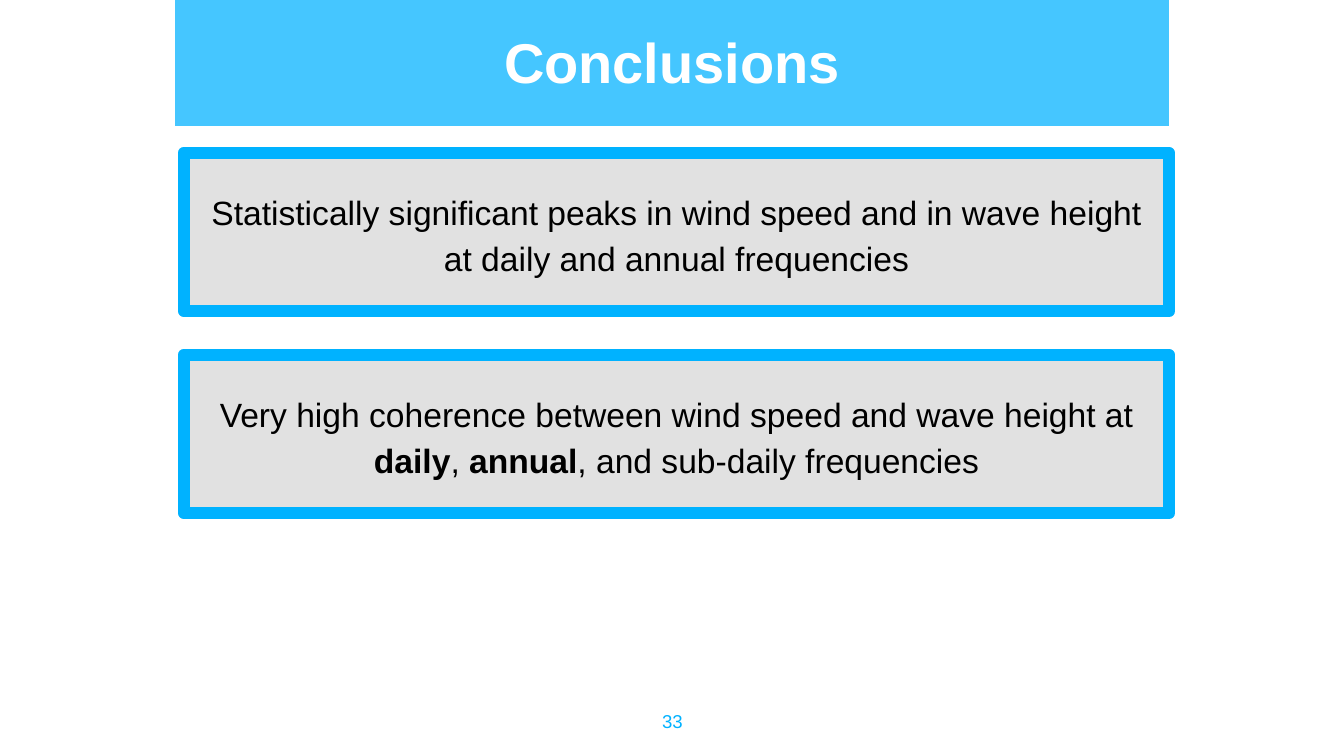
from lxml.etree import SubElement
from pptx import Presentation
from pptx.dml.color import RGBColor
from pptx.enum.shapes import MSO_SHAPE
from pptx.enum.text import MSO_ANCHOR, PP_ALIGN
from pptx.oxml.ns import qn
from pptx.util import Pt

COLORS = {"sky": "00B2FF", "gray": "D8D8D8", "white": "FFFFFF", "black": "000000"}
SCALE = 914400 / 100.8  # EMU per px
WIDE, HIGH = 1344, 756


def px(n):
    return round(n * SCALE)


def tint(name):
    return RGBColor.from_string(COLORS[name])


class Deck:
    font = "Arial"
    pad = 13

    def __init__(self):
        self.prs = Presentation()
        self.prs.slide_width, self.prs.slide_height = px(WIDE), px(HIGH)
        self.slide = self.prs.slides.add_slide(self.prs.slide_layouts[6])

    def rect(self, area, fill, alpha, line=None, width=0):
        """Draw a see-through rectangle; alpha is in percent."""
        box = self.slide.shapes.add_shape(MSO_SHAPE.RECTANGLE, *map(px, area))
        box.shadow.inherit = False
        box.fill.solid()
        box.fill.fore_color.rgb = tint(fill)
        color = box.element.spPr.find(qn("a:solidFill"))[0]
        SubElement(color, qn("a:alpha"), val=str(alpha * 1000))
        if line:
            box.line.color.rgb = tint(line)
            box.line.width = Pt(width)
        else:
            box.line.fill.background()
        return box

    def prose(self, box, runs, size, color, bold=False, anchor=MSO_ANCHOR.TOP, space=1.0):
        """Fill a shape with one centred paragraph of (text, bold) runs."""
        frame = box.text_frame
        frame.word_wrap = True
        frame.vertical_anchor = anchor
        frame.margin_left = frame.margin_right = px(self.pad)
        frame.margin_top = frame.margin_bottom = px(self.pad)
        para = frame.paragraphs[0]
        para.alignment = PP_ALIGN.CENTER
        para.line_spacing = space
        font = para.font
        font.name, font.size, font.bold = self.font, Pt(size), bold
        font.color.rgb = tint(color)
        for text, strong in runs:
            run = para.add_run()
            run.text = text
            if strong:
                run.font.bold = True

    def label(self, area, text, size, color, bold=False):
        box = self.slide.shapes.add_textbox(*map(px, area))
        self.prose(box, [(text, False)], size, color, bold)

    def card(self, area, runs):
        box = self.rect(area, "gray", 76, "sky", 9)
        self.prose(box, runs, 24, "black", anchor=MSO_ANCHOR.MIDDLE, space=1.15)


def main():
    deck = Deck()

    # Title banner
    deck.rect((175, 0, 994, 126), "sky", 73)
    deck.label((175, 14, 994, 74), "Conclusions", 40, "white", bold=True)

    # Findings, one card each
    finds = [
        [("Statistically significant peaks in wind speed and in wave height "
          "at daily and annual frequencies", False)],
        [("Very high coherence between wind speed and wave height at ", False),
         ("daily", True), (", ", False), ("annual", True),
         (", and sub-daily frequencies", False)],
    ]
    top, pitch = 153, 202
    for i, runs in enumerate(finds):
        deck.card((184, top + i * pitch, 985, 158), runs)

    # Page number
    deck.label((632, 699, 81, 57), "33", 13.3, "sky")

    deck.prs.save("out.pptx")


if __name__ == "__main__":
    main()
